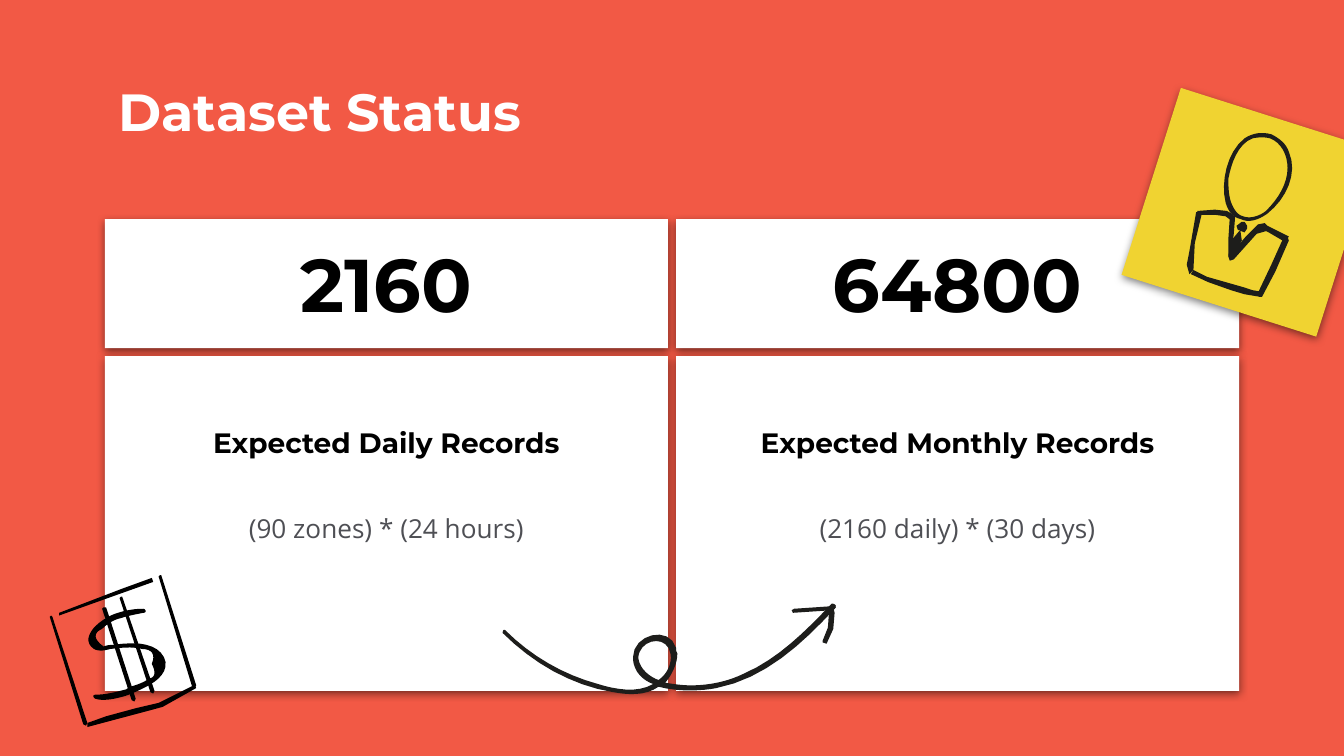
import itertools

import pptx
import pptx.dml.color
import pptx.enum.shapes
import pptx.enum.text
import pptx.oxml
import pptx.oxml.ns
import pptx.util
from pptx.util import Inches

RGBColor = pptx.dml.color.RGBColor
CORAL = RGBColor(0xF2, 0x59, 0x45)
WHITE = RGBColor(0xFF, 0xFF, 0xFF)
YELLOW = RGBColor(0xF0, 0xD3, 0x31)
BLACK = RGBColor(0x00, 0x00, 0x00)
INK = RGBColor(0x1D, 0x1D, 0x1B)
GRAY = RGBColor(0x4E, 0x4F, 0x54)
MIDDLE = pptx.enum.text.MSO_ANCHOR.MIDDLE
TOP = pptx.enum.text.MSO_ANCHOR.TOP
CENTER = pptx.enum.text.PP_ALIGN.CENTER
LEFT = pptx.enum.text.PP_ALIGN.LEFT
SHAPES = pptx.enum.shapes.MSO_SHAPE

# Pen strokes, in hundredths of an inch from the corner of each sketch.
DOLLAR_STROKES = [
    [(1, 30), (0, 31), (25, 111), (27, 112), (28, 110), (2, 31)],
    [(54, 10), (7, 28), (7, 30), (21, 25), (77, 5), (76, 2)],
    [(108, 82), (107, 82), (81, 95), (64, 99), (42, 105), (28, 110), (28, 113),
     (73, 101), (84, 98), (109, 84)],
    [(82, 0), (81, 1), (106, 83), (108, 84), (109, 82), (83, 0)],
    [(40, 24), (39, 25), (61, 93), (63, 94), (64, 92), (42, 24)],
    [(53, 16), (52, 17), (75, 87), (77, 88), (78, 86), (54, 16)],
]
DOLLAR_CURVE = [
    (51, 28), (44, 30), (38, 34), (33, 39), (29, 44), (26, 50), (33, 55),
    (37, 57), (41, 56), (45, 55), (53, 54), (61, 53), (69, 55),
    (76, 55), (79, 59), (76, 66), (79, 72), (79, 76), (74, 77),
    (70, 80), (64, 82), (60, 83), (59, 84), (58, 84), (57, 85),
    (49, 87), (42, 89), (34, 89), (32, 89), (32, 91), (34, 92),
    (40, 94), (49, 92), (56, 90), (62, 88), (68, 85), (72, 83),
    (80, 79), (90, 71), (85, 61), (80, 51), (65, 50), (56, 51),
    (52, 51), (49, 52), (45, 52), (43, 52), (41, 53), (40, 53),
    (33, 48), (32, 43), (39, 40), (43, 36), (48, 33), (53, 32),
    (59, 30), (65, 29), (70, 28), (72, 28), (72, 26), (70, 25),
    (64, 25), (57, 26), (51, 28),
]
HEAD_INNER = [
    (65, 5), (73, 8), (78, 17), (78, 27), (78, 39), (71, 50), (62, 59),
    (57, 63), (50, 65), (45, 63), (41, 62), (39, 59), (37, 55),
    (34, 49), (34, 41), (34, 35), (36, 24), (41, 9), (52, 5),
    (57, 4), (61, 4), (65, 5),
]
HEAD_OUTER = [
    (66, 2), (59, 0), (52, 1), (46, 5), (33, 15), (28, 38), (32, 53),
    (34, 60), (38, 64), (43, 65), (49, 68), (56, 66), (63, 61),
    (77, 50), (86, 31), (79, 15), (77, 9), (72, 5), (66, 2),
]
SUIT_STROKES = [
    [(46, 67), (44, 67), (40, 70), (41, 73), (46, 75), (48, 72), (48, 70)],
    [(43, 74), (42, 74), (37, 80), (34, 92), (36, 94), (37, 93), (44, 81)],
    [(61, 68), (56, 69), (47, 78), (34, 93), (35, 96), (38, 95), (55, 76),
     (62, 74), (64, 75), (76, 82), (79, 78), (63, 70)],
    [(78, 78), (75, 79), (66, 99), (56, 120), (57, 123), (59, 123), (69, 104), (79, 81)],
    [(58, 119), (52, 118), (46, 116), (32, 112), (18, 108), (8, 103), (6, 106),
     (19, 112), (36, 118), (46, 121), (58, 123)],
    [(13, 59), (10, 60), (5, 89), (3, 99), (5, 106), (8, 103), (9, 83), (14, 62)],
    [(33, 59), (24, 58), (11, 59), (11, 63), (13, 62), (25, 62), (32, 63),
     (36, 66), (38, 62)],
    [(37, 62), (35, 64), (34, 79), (34, 93), (35, 94), (36, 93), (38, 76), (39, 63)],
]
ARROW_LOOP = [
    (125, 38), (126, 45), (122, 53), (116, 57), (110, 55), (102, 49), (101, 41),
    (101, 40), (101, 38), (102, 36), (106, 26), (123, 24), (125, 38),
]
ARROW_TAIL = [
    (248, 2), (248, 1), (245, -1), (244, 1), (225, 21), (205, 41), (180, 52),
    (168, 58), (154, 61), (140, 61), (134, 61), (127, 60), (121, 59),
    (126, 53), (130, 45), (130, 37), (129, 36), (129, 34), (129, 33),
    (124, 16), (97, 23), (97, 40), (97, 40), (97, 41), (97, 42),
    (98, 51), (104, 57), (112, 60), (100, 67), (84, 64), (71, 60),
    (45, 53), (21, 39), (2, 20), (1, 19), (0, 20), (0, 22),
    (22, 44), (51, 61), (82, 66), (93, 68), (106, 69), (116, 62),
    (131, 66), (149, 65), (159, 63), (195, 56), (223, 30), (247, 4),
]
ARROW_TIP = [
    [(248, 3), (246, 2), (217, 4), (215, 5), (216, 7), (246, 5)],
    [(247, 7), (246, 3), (243, 4), (242, 18), (238, 28), (238, 29), (241, 30), (246, 19)],
]


def flatten(curve, steps=8):
    """Turn a chain of cubic Bezier segments into a list of points."""
    points = [curve[0]]
    for start in range(0, len(curve) - 1, 3):
        segment = curve[start:start + 4]
        for step in range(1, steps + 1):
            t = step / steps
            weights = ((1 - t) ** 3, 3 * t * (1 - t) ** 2, 3 * t * t * (1 - t), t ** 3)
            points.append(tuple(
                sum(weight * point[axis] for weight, point in zip(weights, segment))
                for axis in (0, 1)))
    return points


def add_sketch(slide, left, top, outlines, color):
    """Draw each outline, a list of contours, as one filled freeform."""
    for contours in outlines:
        scaled = [[(x * 100, y * 100) for x, y in contour] for contour in contours]
        builder = slide.shapes.build_freeform(*scaled[0][0], scale=Inches(1) / 10000)
        builder.add_line_segments(scaled[0][1:], close=True)
        for contour in scaled[1:]:
            builder.move_to(*contour[0])
            builder.add_line_segments(contour[1:], close=True)
        shape = builder.convert_to_shape(Inches(left), Inches(top))
        shape.shadow.inherit = False
        shape.fill.solid()
        shape.fill.fore_color.rgb = color
        shape.line.fill.background()


def add_paper(slide, kind, left, top, width, height, color):
    shape = slide.shapes.add_shape(
        kind, Inches(left), Inches(top), Inches(width), Inches(height))
    shape.fill.solid()
    shape.fill.fore_color.rgb = color
    shape.line.fill.background()
    shape._element.spPr.append(pptx.oxml.parse_xml(
        f'<a:effectLst {pptx.oxml.ns.nsdecls("a")}>'
        '<a:outerShdw blurRad="57150" dist="19050" dir="5400000" algn="bl" rotWithShape="0">'
        '<a:srgbClr val="000000"><a:alpha val="50000"/></a:srgbClr>'
        '</a:outerShdw></a:effectLst>'))
    return shape


def write(shape, text, size, color, font="Montserrat", bold=True, align=CENTER, anchor=MIDDLE):
    frame = shape.text_frame
    frame.text = text
    frame.word_wrap = True
    frame.auto_size = pptx.enum.text.MSO_AUTO_SIZE.NONE
    frame.vertical_anchor = anchor
    frame.margin_left = frame.margin_right = Inches(0.1)
    frame.margin_top = frame.margin_bottom = Inches(0.1)
    paragraph = frame.paragraphs[0]
    paragraph.alignment = align
    run_font = paragraph.runs[0].font
    run_font.name, run_font.size, run_font.bold = font, pptx.util.Pt(size), bold
    run_font.color.rgb = color


def add_title(slide, left, top, width, height):
    title = slide.shapes.title
    title.left, title.top = Inches(left), Inches(top)
    title.width, title.height = Inches(width), Inches(height)
    write(title, "Dataset Status", 28, WHITE, align=LEFT, anchor=TOP)


def add_record_column(slide, left, top, width, number, label, formula):
    for offset, height in ((0, 0.96), (1.02, 2.49)):
        card = add_paper(slide, SHAPES.ROUNDED_RECTANGLE, left, top + offset, width, height, WHITE)
        card.adjustments[0] = 0
    rows = (
        (-0.01, 0.97, number, 40, BLACK, "Montserrat", True),
        (1.53, 0.27, label, 15, BLACK, "Montserrat", True),
        (1.78, 1.04, formula, 14, GRAY, "Open Sans", False),
    )
    for offset, height, *style in rows:
        box = slide.shapes.add_textbox(
            Inches(left + 0.22), Inches(top + offset), Inches(width - 0.44), Inches(height))
        write(box, *style)


def add_person_note(slide, left, top):
    note = add_paper(slide, SHAPES.RECTANGLE, left, top, 1.52, 1.46, YELLOW)
    note.rotation = 17.6
    head = [flatten(HEAD_OUTER), flatten(HEAD_INNER)]
    suit = [[stroke] for stroke in SUIT_STROKES]
    add_sketch(slide, left + 0.27, top + 0.13, [head, *suit], INK)


def add_dollar_bill(slide, left, top):
    outlines = [[stroke] for stroke in itertools.chain(DOLLAR_STROKES, [flatten(DOLLAR_CURVE)])]
    add_sketch(slide, left, top, outlines, BLACK)


def add_looped_arrow(slide, left, top):
    tail = [flatten(ARROW_TAIL), flatten(ARROW_LOOP)]
    add_sketch(slide, left, top, [tail, *([stroke] for stroke in ARROW_TIP)], INK)


def main():
    presentation = pptx.Presentation()
    presentation.slide_width = Inches(10)
    presentation.slide_height = presentation.slide_width * 9 // 16
    slide = presentation.slides.add_slide(presentation.slide_layouts[5])
    slide.background.fill.solid()
    slide.background.fill.fore_color.rgb = CORAL
    add_title(slide, 0.78, 0.49, 8.44, 0.63)
    columns = (
        ("2160", "Expected Daily Records", "(90 zones) * (24 hours)"),
        ("64800", "Expected Monthly Records", "(2160 daily) * (30 days)"),
    )
    for index, texts in enumerate(columns):
        add_record_column(slide, 0.78 + 4.25 * index, 1.63, 4.19, *texts)
    add_person_note(slide, 8.53, 0.85)
    add_dollar_bill(slide, 0.37, 4.28)
    add_looped_arrow(slide, 3.74, 4.49)
    presentation.save("out.pptx")


if __name__ == "__main__":
    main()
